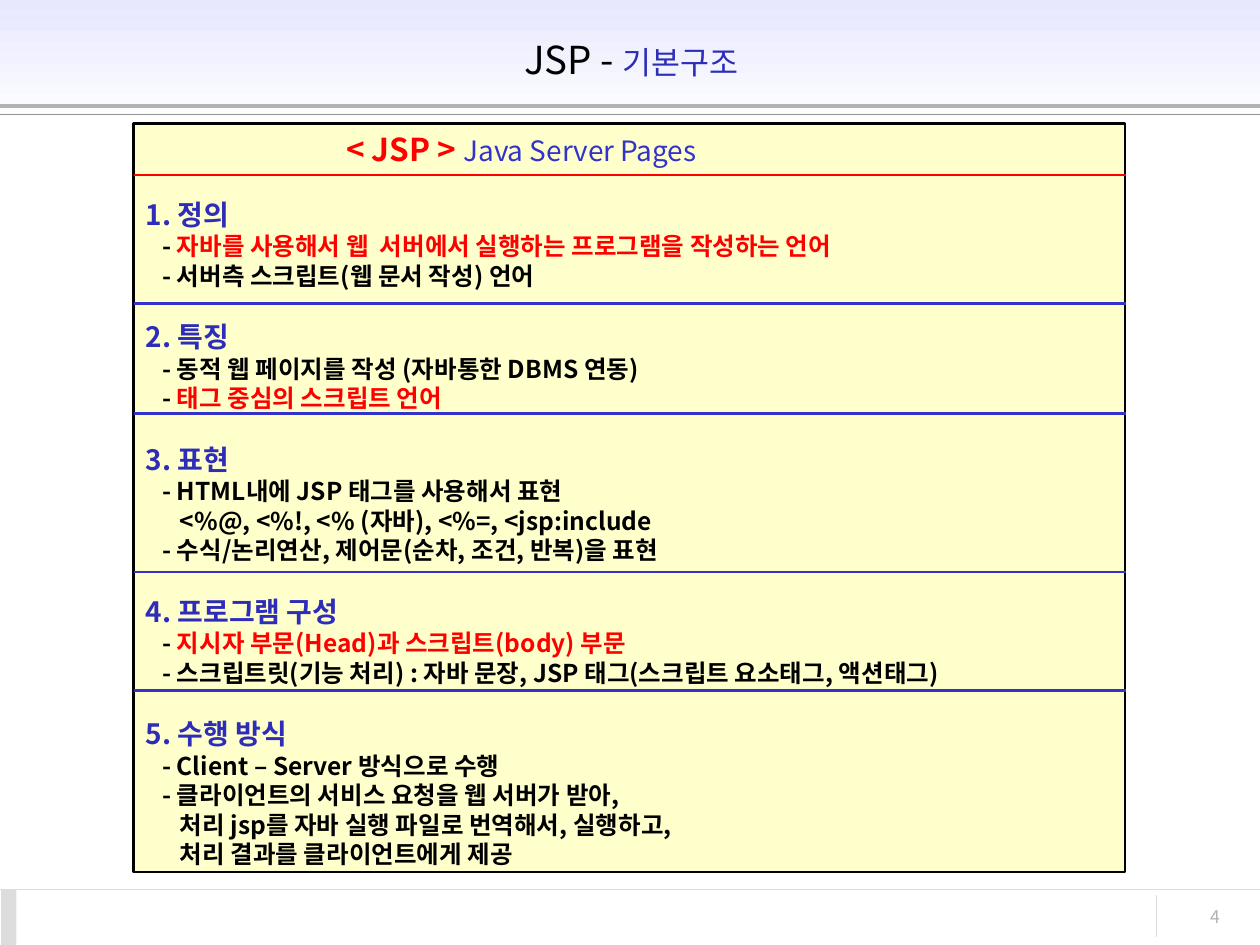
import pptx
import pptx.util
import pptx.dml.color
import pptx.enum.shapes
import pptx.enum.text
import pptx.oxml.ns
from lxml import etree

Inches, Pt = pptx.util.Inches, pptx.util.Pt
RGB = pptx.dml.color.RGBColor.from_string
SHAPE = pptx.enum.shapes.MSO_SHAPE
ALIGN = pptx.enum.text.PP_ALIGN
ANCHOR = pptx.enum.text.MSO_ANCHOR
qn = pptx.oxml.ns.qn

THEME = dict(
    font="Noto Sans CJK KR",
    black="000000", red="FF0000", blue="3333CC", heading="2D2DB9",
    panel="FFFFCC", band="E7E7FF", white="FFFFFF",
    rule="B2B2B2", thin_rule="969696", footer="DDDDDD",
    title_pt=22, lead_pt=18, head_pt=16, body_pt=14, number_pt=10,
    spacing=1.207,
)

prs = pptx.Presentation()
prs.slide_width, prs.slide_height = Inches(10), Inches(7.5)
s = prs.slides.add_slide(prs.slide_layouts[5])


def add_run(p, text, size, color, bold=False):
    r = p.add_run()
    r.text = text
    r.font.name = THEME["font"]
    r.font.size, r.font.bold = Pt(size), bold
    r.font.color.rgb = RGB(color)
    ea = etree.Element(qn("a:ea"), typeface=THEME["font"])
    r.font._element.find(qn("a:latin")).addnext(ea)


def add_line(x1, y1, x2, y2, color, width):
    c = s.shapes.add_connector(
        pptx.enum.shapes.MSO_CONNECTOR.STRAIGHT,
        Inches(x1), Inches(y1), Inches(x2), Inches(y2))
    c.line.color.rgb, c.line.width = RGB(color), Pt(width)
    etree.SubElement(c._element.spPr, qn("a:effectLst"))


# Header band
sp = s.shapes.add_shape(SHAPE.RECTANGLE, 0, 0, Inches(10), Inches(1))
sp.shadow.inherit = False
sp.line.fill.background()
sp.fill.gradient()
sp.fill.gradient_angle = 270
for stop, color in zip(sp.fill.gradient_stops, (THEME["band"], THEME["white"])):
    stop.color.rgb = RGB(color)
add_line(0, 0.84, 10, 0.84, THEME["rule"], 2.25)
add_line(0, 0.91, 10, 0.91, THEME["thin_rule"], 0.75)

# Footer
add_line(0, 7.06, 10, 7.06, THEME["footer"], 0.75)
add_line(9.18, 7.1, 9.18, 7.44, THEME["footer"], 0.75)
sp = s.shapes.add_shape(SHAPE.RECTANGLE, Inches(0.01), Inches(7.06), Inches(0.12), Inches(0.44))
sp.shadow.inherit = False
sp.line.fill.background()
sp.fill.solid()
sp.fill.fore_color.rgb = RGB(THEME["footer"])
tf = s.shapes.add_textbox(Inches(8.86), Inches(7.14), Inches(0.92), Inches(0.33)).text_frame
tf.word_wrap = True
tf.paragraphs[0].alignment = ALIGN.RIGHT
add_run(tf.paragraphs[0], "4", THEME["number_pt"], THEME["rule"])

# Title
sp = s.shapes.title
sp.left, sp.top, sp.width, sp.height = Inches(4.06), Inches(0.13), Inches(2.32), Inches(0.68)
tf = sp.text_frame
tf.vertical_anchor = ANCHOR.MIDDLE
p = tf.paragraphs[0]
p.alignment = ALIGN.LEFT
add_run(p, "JSP - ", THEME["title_pt"], THEME["black"])
add_run(p, "기본구조", THEME["lead_pt"], THEME["heading"])
s.shapes._spTree.append(sp._element)  # bring in front of the header band

# Panel
sp = s.shapes.add_shape(SHAPE.RECTANGLE, Inches(1.06), Inches(0.98), Inches(7.87), Inches(5.94))
sp.shadow.inherit = False
sp.fill.solid()
sp.fill.fore_color.rgb = RGB(THEME["panel"])
sp.line.color.rgb, sp.line.width = RGB(THEME["black"]), Pt(1.5)
tf = sp.text_frame
tf.word_wrap = True
tf.vertical_anchor = ANCHOR.TOP

# Sections: heading, then lines of (marker, text, color)
BLACK, RED = THEME["black"], THEME["red"]
sections = [
    ("1. 정의", [
        ("- ", "자바를 사용해서 웹  서버에서 실행하는 프로그램을 작성하는 언어", RED),
        ("- ", "서버측 스크립트(웹 문서 작성) 언어", BLACK)]),
    ("2. 특징", [
        ("- ", "동적 웹 페이지를 작성 (자바통한 DBMS 연동)", BLACK),
        ("- ", "태그 중심의 스크립트 언어", RED)]),
    ("3. 표현", [
        ("- ", "HTML내에 JSP 태그를 사용해서 표현", BLACK),
        ("", "<%@, <%!, <% (자바), <%=, <jsp:include", BLACK),
        ("- ", "수식/논리연산, 제어문(순차, 조건, 반복)을 표현", BLACK)]),
    ("4. 프로그램 구성", [
        ("- ", "지시자 부문(Head)과 스크립트(body) 부문", RED),
        ("- ", "스크립트릿(기능 처리) : 자바 문장, JSP 태그(스크립트 요소태그, 액션태그)", BLACK)]),
    ("5. 수행 방식", [
        ("- ", "Client – Server 방식으로 수행", BLACK),
        ("- ", "클라이언트의 서비스 요청을 웹 서버가 받아,", BLACK),
        ("", "처리 jsp를 자바 실행 파일로 번역해서, 실행하고,", BLACK),
        ("", "처리 결과를 클라이언트에게 제공", BLACK)]),
]

# Each row: size, indent, space before, runs
gap = THEME["body_pt"] * THEME["spacing"]
rows = [(THEME["lead_pt"], 1.59, 0, [
    ("< JSP > ", THEME["lead_pt"], RED, True),
    ("Java Server Pages", THEME["head_pt"], THEME["blue"], False)])]
for heading, lines in sections:
    size = THEME["head_pt"]
    rows.append((size, 0, gap, [(heading, size, THEME["heading"], True)]))
    size = THEME["body_pt"]
    for marker, text, color in lines:
        runs = [(marker, size, BLACK, True)] if marker else []
        rows.append((size, 0.13 if marker else 0.27, 0, runs + [(text, size, color, True)]))

for i, (size, indent, before, runs) in enumerate(rows):
    p = tf.paragraphs[0] if i == 0 else tf.add_paragraph()
    p.alignment = ALIGN.LEFT
    p.line_spacing = Pt(size * THEME["spacing"])
    if before:
        p.space_before = Pt(before)
    p._p.get_or_add_pPr().set("marL", str(Inches(indent)))
    for run in runs:
        add_run(p, *run)

# Section dividers
add_line(1.06, 1.39, 8.94, 1.39, RED, 1.5)
for y in (2.41, 3.28, 4.54, 5.48):
    add_line(1.06, y, 8.94, y, THEME["blue"], 1.5)

prs.save("out.pptx")
